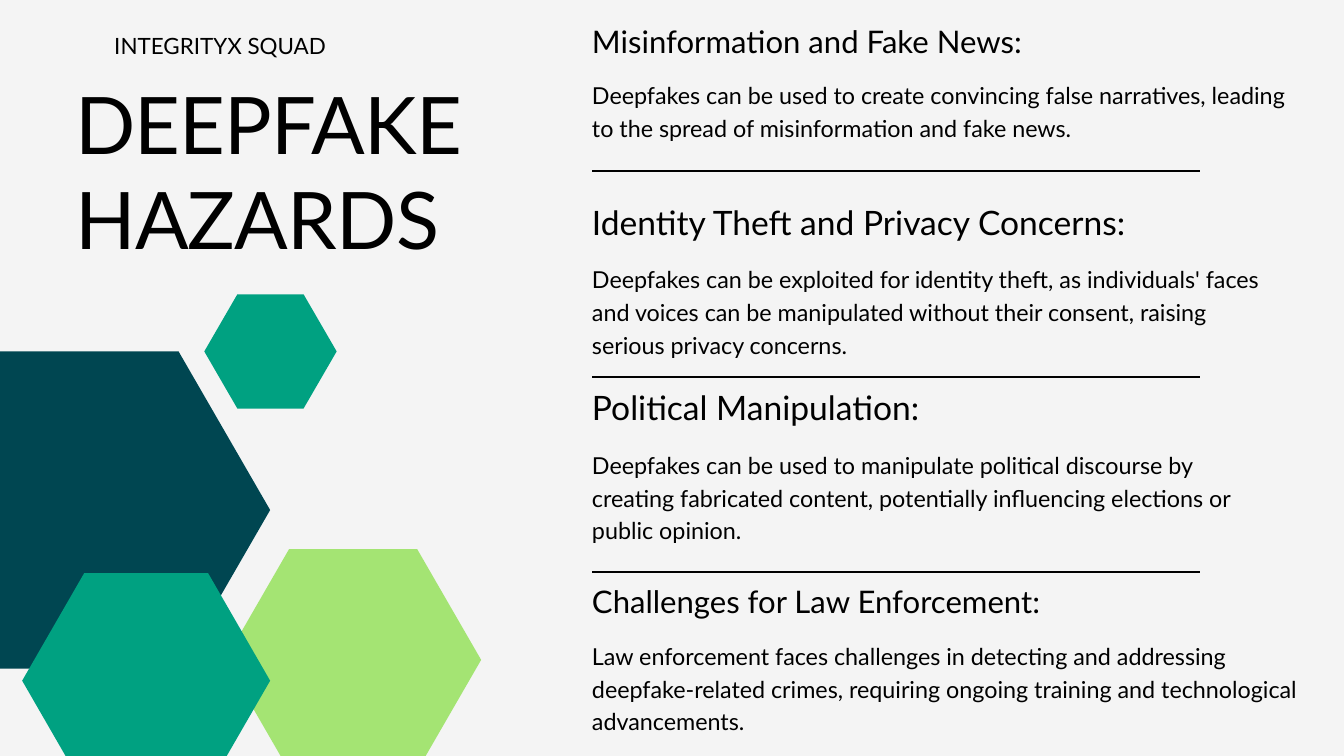
from dataclasses import dataclass

from lxml.etree import SubElement
from pptx import Presentation
from pptx.dml.color import RGBColor
from pptx.enum.shapes import MSO_CONNECTOR, MSO_SHAPE
from pptx.oxml.ns import qn
from pptx.slide import Slide
from pptx.util import Inches, Pt


@dataclass(frozen=True)
class TextStyle:
    size: float
    leading: float
    tracking: float = 0


@dataclass(frozen=True)
class Theme:
    font: str = "Lato"
    paper: str = "F4F4F4"
    ink: str = "000000"
    navy: str = "004651"
    lime: str = "A4E473"
    green: str = "00A181"
    title: TextStyle = TextStyle(85, 102, -0.8)
    label: TextStyle = TextStyle(24, 33.6)
    heading: TextStyle = TextStyle(33.3, 40)
    large_heading: TextStyle = TextStyle(36, 43.2)
    body: TextStyle = TextStyle(25, 35)


@dataclass(frozen=True)
class Hexagon:
    left: float
    top: float
    width: float
    height: float
    color: str


@dataclass(frozen=True)
class Hazard:
    top: float
    width: float
    style: TextStyle
    heading: str
    body: str
    lines: int


THEME = Theme()
COLUMN_LEFT = 8.81
RULE_RIGHT = 17.85
RULE_TOPS = (2.55, 5.61, 8.51)

HEXAGONS = (
    Hexagon(-1.43, 5.23, 5.45, 4.72, THEME.navy),
    Hexagon(3.35, 8.17, 3.81, 3.3, THEME.lime),
    Hexagon(3.04, 4.38, 1.97, 1.7, THEME.green),
    Hexagon(0.33, 8.53, 3.69, 3.2, THEME.green),
)

HAZARDS = (
    Hazard(0.33, 10.56, THEME.heading, "Misinformation and Fake News:",
           "Deepfakes can be used to create convincing false narratives, leading "
           "to the spread of misinformation and fake news.", 2),
    Hazard(3, 10.07, THEME.large_heading, "Identity Theft and Privacy Concerns:",
           "Deepfakes can be exploited for identity theft, as individuals' faces "
           "and voices can be manipulated without their consent, raising "
           "serious privacy concerns.", 3),
    Hazard(5.76, 10.07, THEME.large_heading, "Political Manipulation:",
           "Deepfakes can be used to manipulate political discourse by "
           "creating fabricated content, potentially influencing elections or "
           "public opinion.", 3),
    Hazard(8.67, 10.56, THEME.heading, "Challenges for Law Enforcement:",
           "Law enforcement faces challenges in detecting and addressing "
           "deepfake-related crimes, requiring ongoing training and technological "
           "advancements.", 3),
)


def rgb(color: str) -> RGBColor:
    return RGBColor.from_string(color)


def add_text(s: Slide, left: float, top: float, width: float,
             style: TextStyle, *lines: str, rows: int = 1) -> None:
    """Add one paragraph per line, in a box as tall as its rows of text."""
    height = max(rows, len(lines)) * style.leading / 72
    sp = s.shapes.add_textbox(Inches(left), Inches(top), Inches(width), Inches(height))
    tf = sp.text_frame
    frame = {"word_wrap": True, "margin_left": 0, "margin_top": 0,
             "margin_right": 0, "margin_bottom": 0}
    for name, value in frame.items():
        setattr(tf, name, value)
    for i, line in enumerate(lines):
        p = tf.add_paragraph() if i else tf.paragraphs[0]
        p.line_spacing = Pt(style.leading)
        r = p.add_run()
        r.text = line
        r.font.name = THEME.font
        r.font.size = Pt(style.size)
        r.font.color.rgb = rgb(THEME.ink)
        if style.tracking:
            r.font._element.set("spc", str(round(style.tracking * 100)))


def add_hexagon(s: Slide, h: Hexagon) -> None:
    sp = s.shapes.add_shape(MSO_SHAPE.HEXAGON, Inches(h.left), Inches(h.top),
                            Inches(h.width), Inches(h.height))
    sp.adjustments[0] = h.width / 4 / h.height
    sp.shadow.inherit = False
    sp.fill.solid()
    sp.fill.fore_color.rgb = rgb(h.color)
    sp.line.fill.background()


def add_rule(s: Slide, top: float) -> None:
    line = s.shapes.add_connector(MSO_CONNECTOR.STRAIGHT, Inches(COLUMN_LEFT),
                                  Inches(top), Inches(RULE_RIGHT), Inches(top))
    line.line.color.rgb = rgb(THEME.ink)
    line.line.width = Pt(2.25)
    SubElement(line._element.spPr, qn("a:effectLst"))


def add_hazard(s: Slide, h: Hazard) -> None:
    add_text(s, COLUMN_LEFT, h.top, h.width, h.style, h.heading)
    # The gap under a heading grows with its type size.
    body_top = h.top + h.style.size * 0.0245
    add_text(s, COLUMN_LEFT, body_top, h.width, THEME.body, h.body, rows=h.lines)


def main() -> None:
    prs = Presentation()
    prs.slide_width, prs.slide_height = Inches(20), Inches(11.25)
    s = prs.slides.add_slide(prs.slide_layouts[6])
    s.background.fill.solid()
    s.background.fill.fore_color.rgb = rgb(THEME.paper)

    add_text(s, 1.12, 1.12, 6.03, THEME.title, "DEEPFAKE", "HAZARDS")
    for hexagon in HEXAGONS:
        add_hexagon(s, hexagon)
    for hazard in HAZARDS:
        add_hazard(s, hazard)
    for top in RULE_TOPS:
        add_rule(s, top)
    add_text(s, 1.7, 0.41, 3.55, THEME.label, "INTEGRITYX SQUAD")

    prs.save("out.pptx")


if __name__ == "__main__":
    main()
